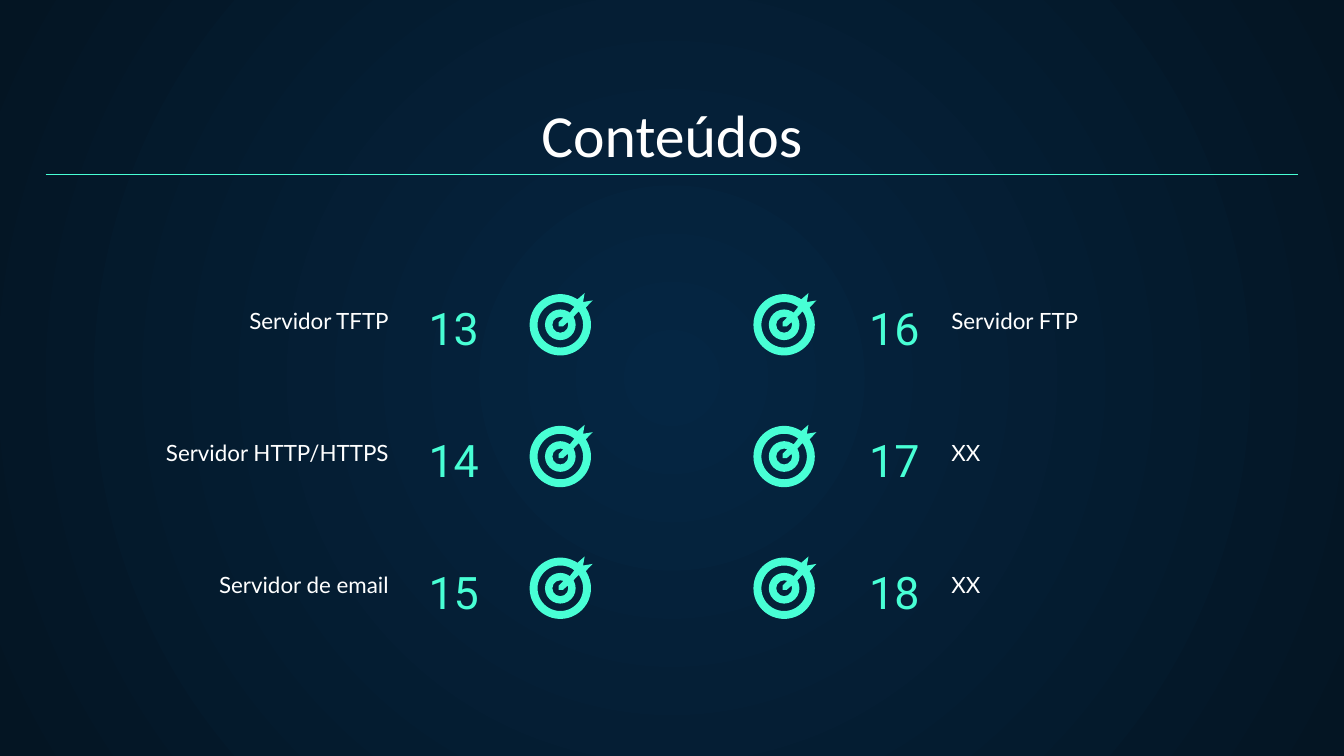
from math import cos, radians, sin

from lxml.etree import Element, SubElement
from pptx import Presentation
from pptx.dml.color import RGBColor
from pptx.enum.shapes import MSO_CONNECTOR
from pptx.enum.text import MSO_ANCHOR as Anchor, MSO_AUTO_SIZE as AutoSize, PP_ALIGN as Align
from pptx.oxml.ns import qn
from pptx.util import Cm, Pt

TITLE = "Conteúdos"
COLUMNS = [
    {
        "topics": [("13", "Servidor TFTP"), ("14", "Servidor HTTP/HTTPS"), ("15", "Servidor de email")],
        "number_x": 7.85, "number_align": Align.LEFT,
        "label_x": 1.83, "label_align": Align.RIGHT,
        "target_x": 10.59,
    },
    {
        "topics": [("16", "Servidor FTP"), ("17", "XX"), ("18", "XX")],
        "number_x": 14.35, "number_align": Align.RIGHT,
        "label_x": 17.73, "label_align": Align.LEFT,
        "target_x": 14.82,
    },
]
COLORS = {"center": "052643", "edge": "041523", "accent": "48FFD5", "text": "FFFFFF"}

MARGIN, SLIDE_W, SLIDE_H = 0.86, 25.4, 14.29
ROW_PITCH = 2.49
NUMBER_Y, LABEL_Y, TARGET_Y = 5.28, 5.66, 6.14
UNITS_PER_CM = 1000


def color(name):
    return RGBColor.from_string(COLORS[name])


def line(*points):
    return [(x, y, None) for x, y in points]


def arc(radius, *angles):
    """Corners (x, y, curve) around (0, 0); degrees run clockwise from the right."""
    curves = [None] + [(radius, a, b - a) for a, b in zip(angles, angles[1:])]
    return [(radius * cos(radians(a)), radius * sin(radians(a)), curve)
            for a, curve in zip(angles, curves)]


# Outlines in cm around the target's centre: bull's-eye, gap ring, disc with arrow
TARGET = [
    line((0.05, -0.13), (-0.03, -0.05), (-0.03, 0.03), (0.05, 0.03)) + arc(0.15, -20, 90, 180, 290),
    arc(0.29, -52, -180, -270, -391) + arc(0.43, -36, 90, 180, 308),
    line((0.46, -0.6)) + arc(0.58, -56, -90, -180, -270, -360, -394) + line((0.61, -0.46), (0.43, -0.43)),
]


def set_text(shape, text, font_name, size, color_name, align):
    frame = shape.text_frame
    frame.text = text
    frame.word_wrap = True
    frame.auto_size = AutoSize.NONE
    frame.vertical_anchor = Anchor.BOTTOM
    frame.margin_left = frame.margin_right = Cm(0.25)
    frame.margin_top = frame.margin_bottom = Cm(0.25)
    paragraph = frame.paragraphs[0]
    paragraph.alignment = align
    font = paragraph.font
    font.name, font.size = font_name, Pt(size)
    font.color.rgb = color(color_name)


def bend_segments(shape, curves):
    """Turn each straight segment that has a curve into a circular arc."""
    segments = list(shape.element.iter(qn("a:lnTo")))
    for segment, curve in zip(segments, curves):
        if curve:
            radius, start, sweep = curve
            size = str(round(radius * UNITS_PER_CM))
            bent = Element(qn("a:arcTo"), {
                "wR": size, "hR": size,
                "stAng": str(start % 360 * 60000), "swAng": str(sweep * 60000)})
            segment.getparent().replace(segment, bent)


def add_target(slide, x, y):
    outlines = [[(px * UNITS_PER_CM, py * UNITS_PER_CM) for px, py, _ in outline] for outline in TARGET]
    builder = slide.shapes.build_freeform(*outlines[0][0], scale=Cm(1) / UNITS_PER_CM)
    for i, outline in enumerate(outlines):
        if i:
            builder.move_to(*outline[0])
        builder.add_line_segments(outline[1:], close=True)
    target = builder.convert_to_shape(Cm(x), Cm(y))
    bend_segments(target, [curve for outline in TARGET for _, _, curve in outline[1:]])
    target.shadow.inherit = False
    target.fill.solid()
    target.fill.fore_color.rgb = color("accent")
    target.line.fill.background()


def set_radial_background(slide):
    fill = slide.background.fill
    fill.gradient()
    for stop, name in zip(fill.gradient_stops, ("center", "edge")):
        stop.color.rgb = color(name)
    gradient = slide.element.find(".//" + qn("a:gradFill"))
    gradient.remove(gradient.find(qn("a:lin")))
    circle = SubElement(gradient, qn("a:path"), {"path": "circle"})
    SubElement(circle, qn("a:fillToRect"), {side: "50000" for side in "ltrb"})


def main():
    prs = Presentation()
    prs.slide_width, prs.slide_height = Cm(SLIDE_W), Cm(SLIDE_H)
    slide = prs.slides.add_slide(prs.slide_layouts[5])
    set_radial_background(slide)

    title = slide.shapes.title
    title.left, title.top = Cm(MARGIN), Cm(1.78)
    title.width, title.height = Cm(SLIDE_W - 2 * MARGIN), Cm(1.68)
    set_text(title, TITLE, "Calibri", 32, "text", Align.CENTER)

    rule = slide.shapes.add_connector(
        MSO_CONNECTOR.STRAIGHT, Cm(MARGIN), Cm(3.3), Cm(SLIDE_W - MARGIN), Cm(3.3))
    rule.line.color.rgb = color("accent")
    rule.line.width = Pt(0.75)
    SubElement(rule.element.spPr, qn("a:effectLst"))

    for column in COLUMNS:
        for row, (number, label) in enumerate(column["topics"]):
            drop = row * ROW_PITCH
            number_box = slide.shapes.add_textbox(
                Cm(column["number_x"]), Cm(NUMBER_Y + drop), Cm(3.28), Cm(1.68))
            set_text(number_box, number, "Roboto", 24, "accent", column["number_align"])
            label_box = slide.shapes.add_textbox(
                Cm(column["label_x"]), Cm(LABEL_Y + drop), Cm(5.77), Cm(0.91))
            set_text(label_box, label, "Lato", 12, "text", column["label_align"])
            add_target(slide, column["target_x"], TARGET_Y + drop)

    prs.save("out.pptx")


if __name__ == "__main__":
    main()
